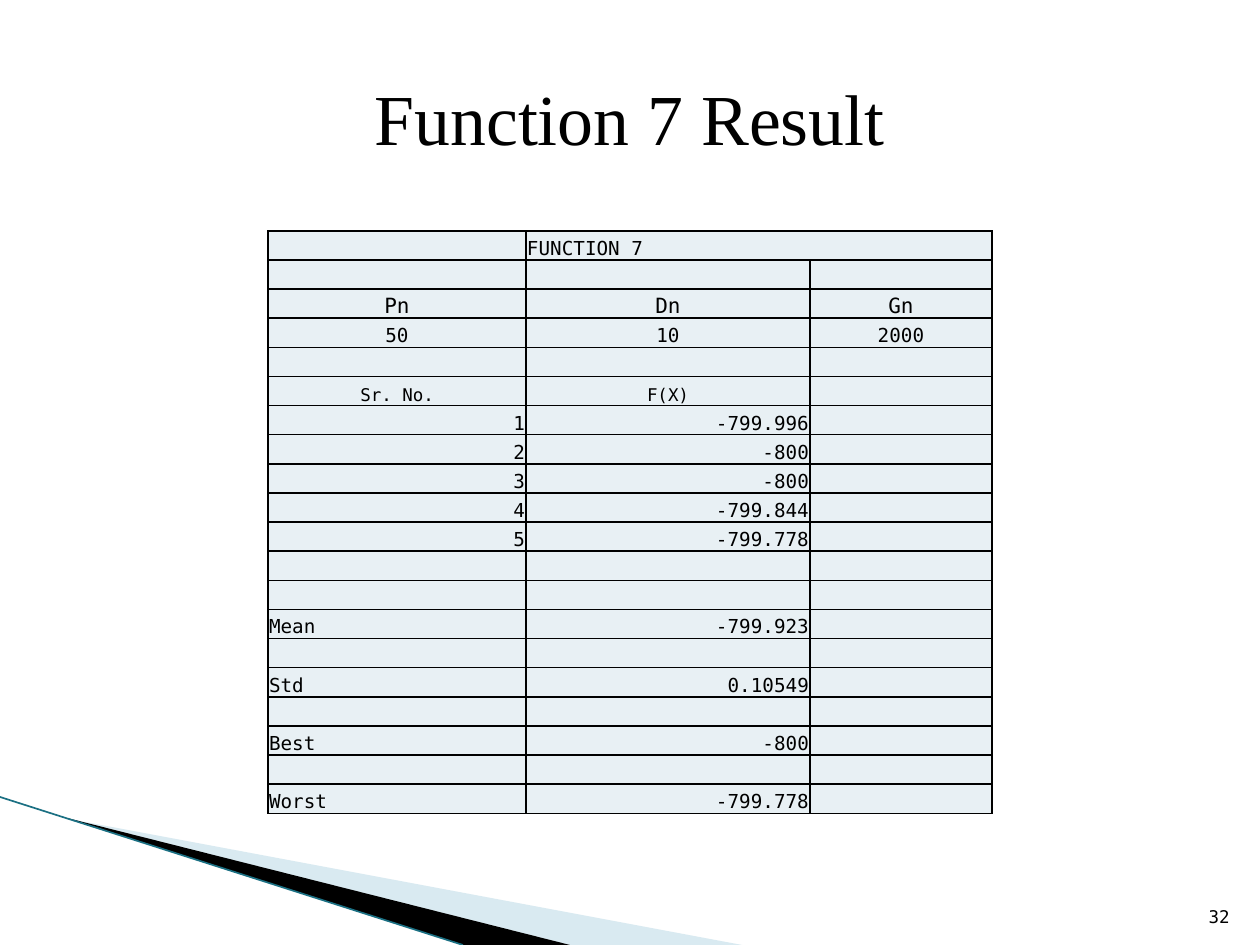
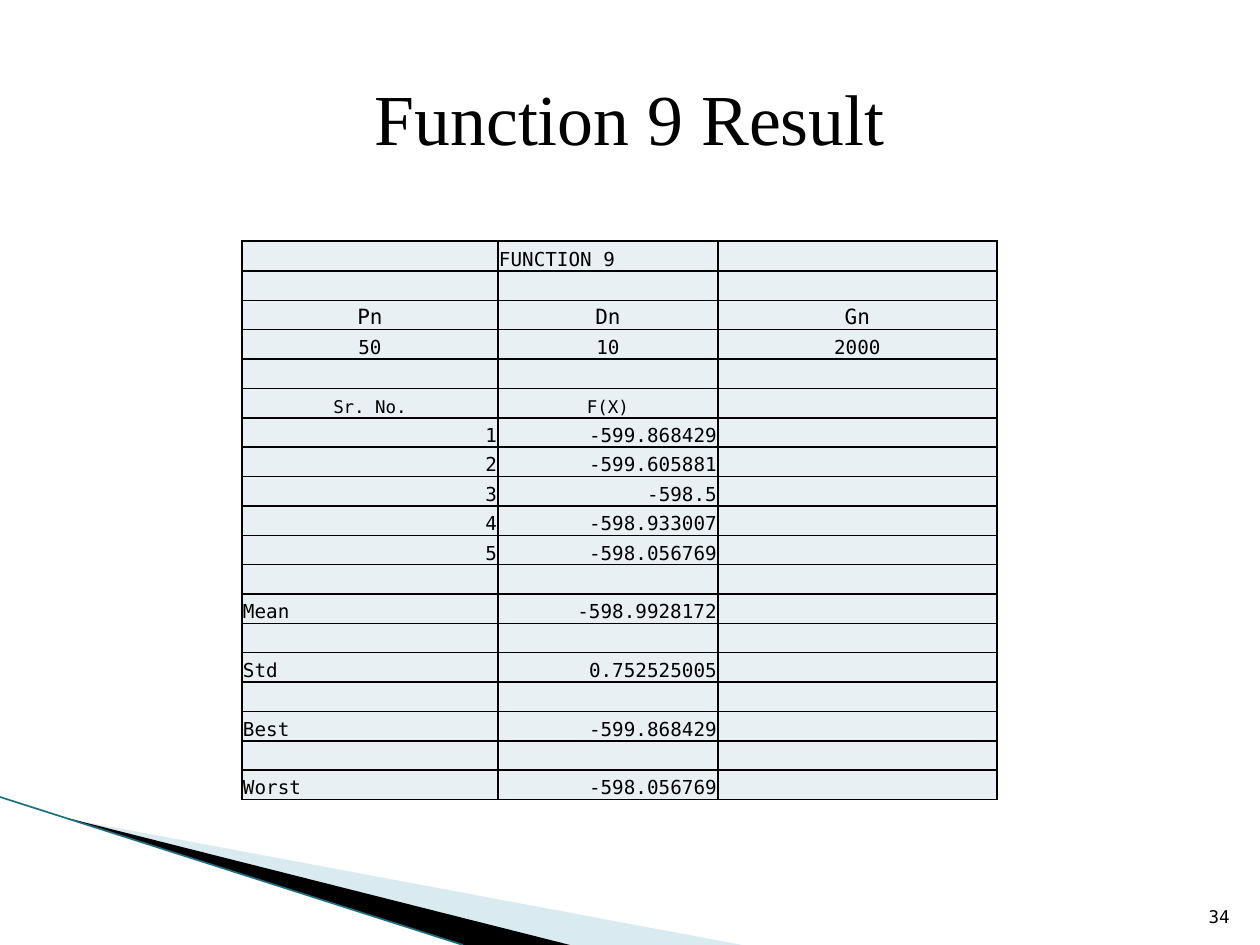
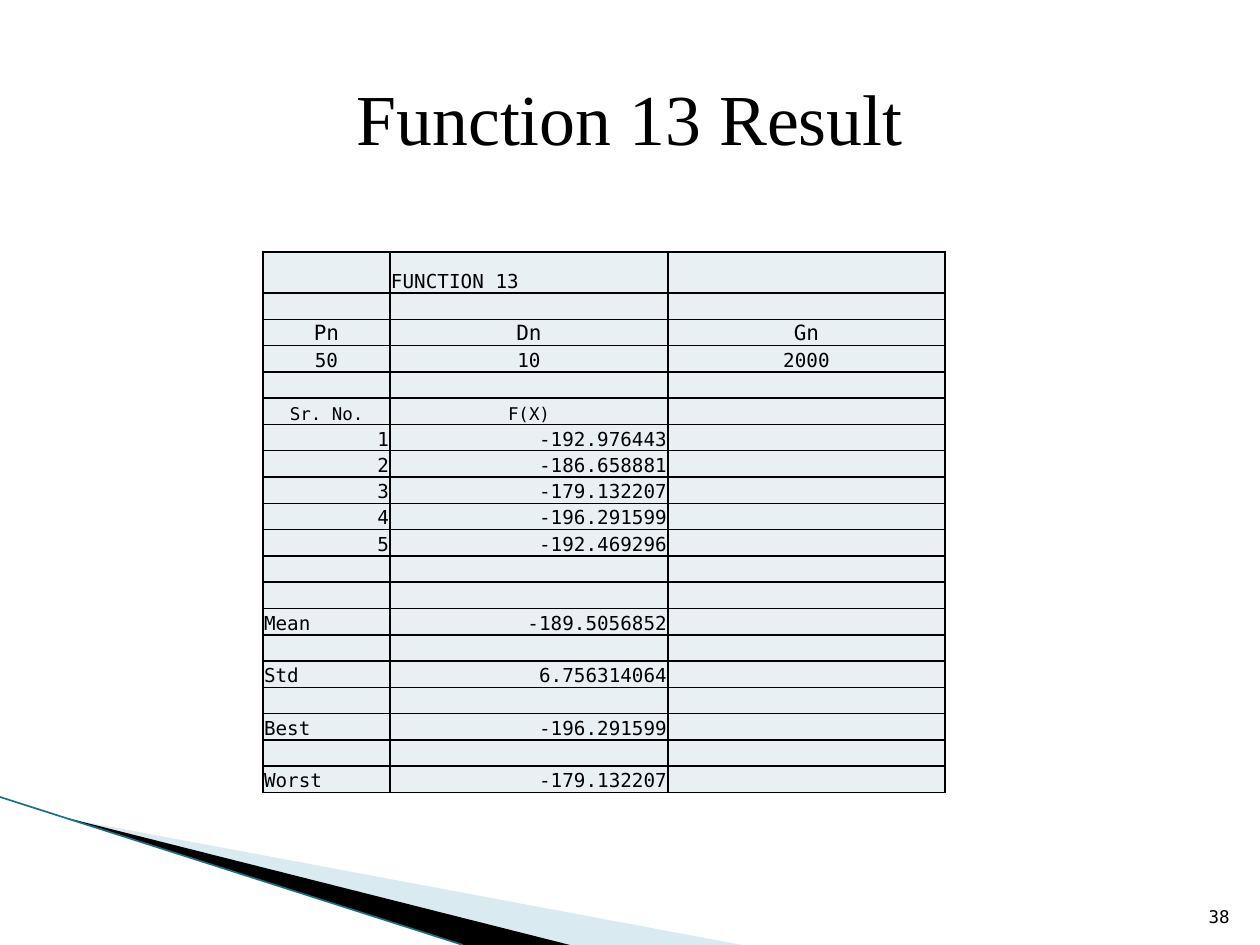
from pptx import Presentation
from pptx.dml.color import RGBColor
from pptx.enum.shapes import MSO_CONNECTOR
from pptx.enum.text import MSO_ANCHOR, PP_ALIGN
from pptx.oxml.ns import qn
from pptx.util import Emu, Pt
from lxml import etree

STRAIGHT = MSO_CONNECTOR.STRAIGHT
MIDDLE, BOTTOM = MSO_ANCHOR.MIDDLE, MSO_ANCHOR.BOTTOM
LEFT, CENTER, RIGHT = PP_ALIGN.LEFT, PP_ALIGN.CENTER, PP_ALIGN.RIGHT

SCALE = 914400 / 126
SLIDE_SIZE = (1260, 945)
TITLE_BOX = (63, 38, 1134, 158)
NUMBER_BOX = (1192, 883, 50, 50)
SWOOSH_BOX = (0, 797, 742, 148)

BLACK, CELL_FILL = "000000", "E8F0F4"
PALE_BLUE, TEAL = "A0CBDC", "1B7083"
TITLE_FONT, BODY_FONT = "Times New Roman", "DejaVu Sans Mono"

RESULTS = [
    {"number": 7, "page": "32", "box": (268, 231, 724, 583),
     "columns": (258, 284, 182), "first_row": 29, "gap_rows": 2, "merge_heading": True,
     "runs": ("-799.996", "-800", "-800", "-799.844", "-799.778"),
     "summary": ("-799.923", "0.10549", "-800", "-799.778")},
    {"number": 9, "page": "34", "box": (242, 241, 755, 559),
     "columns": (256, 220, 279), "first_row": 30, "gap_rows": 1, "merge_heading": False,
     "runs": ("-599.868429", "-599.605881", "-598.5", "-598.933007", "-598.056769"),
     "summary": ("-598.9928172", "0.752525005", "-599.868429", "-598.056769")},
    {"number": 13, "page": "38", "box": (263, 252, 682, 541),
     "columns": (127, 278, 277), "first_row": 41, "gap_rows": 2, "merge_heading": False,
     "runs": ("-192.976443", "-186.658881", "-179.132207", "-196.291599", "-192.469296"),
     "summary": ("-189.5056852", "6.756314064", "-196.291599", "-179.132207")},
]


def px(length):
    return Emu(round(length * SCALE))


def color(hex_value):
    return RGBColor.from_string(hex_value)


def style_text(frame, text, font, size, align):
    frame.text = text
    paragraph = frame.paragraphs[0]
    paragraph.alignment = align
    for run in paragraph.runs:
        run.font.name = font
        run.font.size = Pt(size)
        run.font.color.rgb = color(BLACK)
    if not text:
        end_mark = etree.SubElement(paragraph._p, qn("a:endParaRPr"))
        end_mark.set("sz", str(size * 100))


def add_label(slide, box, text, font, size, align, anchor):
    frame = slide.shapes.add_textbox(*map(px, box)).text_frame
    frame.word_wrap = True
    frame.vertical_anchor = anchor
    style_text(frame, text, font, size, align)


def add_wedge(slide, box, points, fill, opacity=100):
    left, top = box[:2]
    corners = [(left + x, top + y) for x, y in points]
    builder = slide.shapes.build_freeform(*corners[0], scale=SCALE)
    builder.add_line_segments(corners[1:], close=True)
    wedge = builder.convert_to_shape()
    wedge.shadow.inherit = False
    wedge.fill.solid()
    wedge.fill.fore_color.rgb = color(fill)
    wedge.line.fill.background()
    if opacity < 100:
        shade = wedge._element.spPr.find(qn("a:solidFill"))[0]
        etree.SubElement(shade, qn("a:alpha")).set("val", str(opacity * 1000))


def add_swoosh(slide, box):
    left, top, width, height = box
    add_wedge(slide, box, [(69, 22), (width, height), (570, height)], PALE_BLUE, 40)
    add_wedge(slide, box, [(67, 21), (570, height), (463, height)], BLACK)
    edge = slide.shapes.add_connector(
        STRAIGHT, px(left), px(top), px(left + 463), px(top + height))
    edge.line.color.rgb = color(TEAL)
    edge.line.width = Pt(0.95)
    etree.SubElement(edge._element.spPr, qn("a:effectLst"))


def result_rows(result):
    blank = ("", "", "")
    rows = [
        ("", f"FUNCTION {result['number']}", ""),
        blank,
        ("Pn", "Dn", "Gn"),
        ("50", "10", "2000"),
        blank,
        ("Sr. No.", "F(X)", ""),
    ]
    rows += [(str(trial), value, "") for trial, value in enumerate(result["runs"], 1)]
    rows += [blank] * (result["gap_rows"] - 1)
    for measure, value in zip(("Mean", "Std", "Best", "Worst"), result["summary"]):
        rows += [blank, (measure, value, "")]
    return rows


def cell_style(row, column, text):
    size = {2: 12, 5: 10}.get(row, 11)
    if row == 0 or text.isalpha() and row > 5:
        return size, LEFT
    return size, CENTER if row <= 5 else RIGHT


def format_cell(cell, text, size, align):
    cell.margin_left = cell.margin_right = cell.margin_top = px(1)
    cell.margin_bottom = 0
    cell.vertical_anchor = BOTTOM
    properties = cell._tc.get_or_add_tcPr()
    for side in ("lnL", "lnR", "lnT", "lnB"):
        border = etree.SubElement(properties, qn(f"a:{side}"), w=str(Pt(1)))
        stroke = etree.SubElement(border, qn("a:solidFill"))
        etree.SubElement(stroke, qn("a:srgbClr"), val=BLACK)
    cell.fill.solid()
    cell.fill.fore_color.rgb = color(CELL_FILL)
    style_text(cell.text_frame, text, BODY_FONT, size, align)


def add_result_table(slide, box, result):
    rows = result_rows(result)
    columns = result["columns"]
    table = slide.shapes.add_table(len(rows), len(columns), *map(px, box)).table
    table.first_row = table.horz_banding = False
    for column, width in zip(table.columns, columns):
        column.width = px(width)
    first_row = result["first_row"]
    row_height = (box[3] - first_row) / (len(rows) - 1)
    for r, values in enumerate(rows):
        table.rows[r].height = px(row_height if r else first_row)
        for c, text in enumerate(values):
            format_cell(table.cell(r, c), text, *cell_style(r, c, text))
    if result["merge_heading"]:
        table.cell(0, 1).merge(table.cell(0, 2))


def add_result_slide(deck, result):
    slide = deck.slides.add_slide(deck.slide_layouts[6])
    add_swoosh(slide, SWOOSH_BOX)
    add_label(slide, NUMBER_BOX, result["page"], BODY_FONT, 10, RIGHT, BOTTOM)
    add_label(slide, TITLE_BOX, f"Function {result['number']} Result",
              TITLE_FONT, 41, CENTER, MIDDLE)
    add_result_table(slide, result["box"], result)


def main():
    deck = Presentation()
    deck.slide_width, deck.slide_height = map(px, SLIDE_SIZE)
    for result in RESULTS:
        add_result_slide(deck, result)
    deck.save("out.pptx")


if __name__ == "__main__":
    main()
